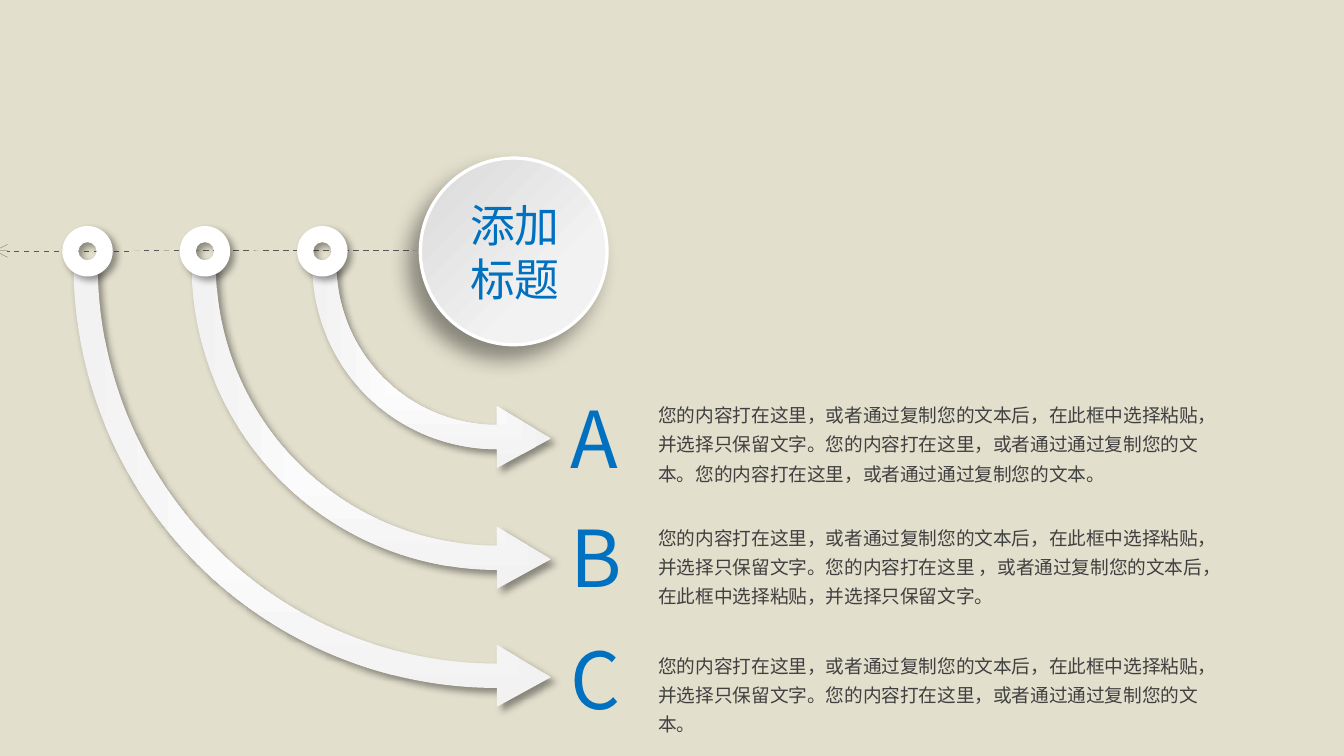
from math import cos, pi, sin, tan

from lxml.etree import SubElement
from pptx import Presentation
from pptx.dml.color import RGBColor
from pptx.enum.dml import MSO_LINE
from pptx.enum.shapes import MSO_CONNECTOR, MSO_SHAPE
from pptx.enum.text import MSO_ANCHOR, MSO_AUTO_SIZE
from pptx.oxml.ns import qn
from pptx.util import Pt

FONT = "Noto Sans CJK SC"
COLORS = {
    "background": "E3DFCD",
    "white": "FFFFFF",
    "pale": "F2F2F2",
    "silver": "D9D9D9",
    "axis": "595959",
    "accent": "0070C0",
    "body": "404040",
    "shadow": "000000",
}
OPENING = "您的内容打在这里，或者通过复制您的文本后，在此框中选择粘贴，并选择只保留文字。"
SHORT_COPY = "您的内容打在这里，或者通过通过复制您的文本。"
LONG_COPY = "您的内容打在这里 ，或者通过复制您的文本后，在此框中选择粘贴，并选择只保留文字。"
ITEMS = [
    ("A", 206, 210.2, OPENING + SHORT_COPY * 2),
    ("B", 269.8, 275.9, OPENING + LONG_COPY),
    ("C", 335.4, 344.5, OPENING + SHORT_COPY),
]
RING_CENTERS = [172.7, 109.8, 46.9]
RADII = [98.9, 163.6, 226.8]
ARC_CENTER = (266.2, 141.8)
AXIS_Y = 134.6


def color(name):
    return RGBColor.from_string(COLORS[name])


def add_shadow(shape, blur, distance, angle):
    effects = SubElement(shape._element.spPr, qn("a:effectLst"))
    shadow = SubElement(
        effects, qn("a:outerShdw"), blurRad=str(Pt(blur)), dist=str(Pt(distance)),
        dir=str(angle * 60000), algn="ctr", rotWithShape="0",
    )
    tone = SubElement(shadow, qn("a:srgbClr"), val=COLORS["shadow"])
    SubElement(tone, qn("a:alpha"), val="40000")


def fill_gradient(shape, stops, path, focus):
    shape.fill.gradient()
    for stop, (position, name) in zip(shape.fill.gradient_stops, stops):
        stop.position = position
        stop.color.rgb = color(name)
    gradient = shape._element.spPr.find(qn("a:gradFill"))
    gradient.remove(gradient.find(qn("a:lin")))
    path_element = SubElement(gradient, qn("a:path"), path=path)
    edges = {side: str(percent * 1000) for side, percent in zip("ltrb", focus)}
    SubElement(path_element, qn("a:fillToRect"), **edges)


def add_text(shapes, text, box, size, tone, wrap=True, anchor=MSO_ANCHOR.TOP,
             margins=(5.4, 2.7), spacing=None):
    frame = shapes.add_textbox(*map(Pt, box)).text_frame
    frame.word_wrap = wrap
    frame.auto_size = MSO_AUTO_SIZE.SHAPE_TO_FIT_TEXT
    frame.vertical_anchor = anchor
    frame.margin_left = frame.margin_right = Pt(margins[0])
    frame.margin_top = frame.margin_bottom = Pt(margins[1])
    frame.text = text
    for paragraph in frame.paragraphs:
        if spacing:
            paragraph.line_spacing = spacing
        for run in paragraph.runs:
            run.font.size = Pt(size)
            run.font.name = FONT
            run.font.color.rgb = color(tone)
            SubElement(run._r.get_or_add_rPr(), qn("a:ea"), typeface=FONT)


def arc_points(center, radius, pieces=2):
    step = pi / 2 / pieces
    handle = 4 / 3 * tan(step / 4)

    def place(angle, offset=0):
        return (center[0] + radius * (cos(angle) - offset * sin(angle)),
                center[1] + radius * (sin(angle) + offset * cos(angle)))

    points = [place(pi / 2)]
    for piece in range(pieces):
        start = pi / 2 + piece * step
        end = start + step
        points += [place(start, handle), place(end, -handle), place(end)]
    return points


def bend_segments(shape, first, count):
    lines = list(shape._element.iter(qn("a:lnTo")))
    for index in range(first, first + count, 3):
        curve_lines = lines[index:index + 3]
        outline = curve_lines[0].getparent()
        curve = outline.makeelement(qn("a:cubicBezTo"))
        outline.insert(outline.index(curve_lines[0]), curve)
        for line in curve_lines:
            curve.append(line[0])
            outline.remove(line)


def add_curved_arrow(slide, center, radius, thickness=13, head_length=29, head_half=16.6):
    x, y = center[0], center[1] + radius - thickness / 2
    head = [(x, y - head_half), (x + head_length, y + 0.7), (x, y + head_half)]
    outer = arc_points(center, radius)
    inner = arc_points(center, radius - thickness)[::-1]
    points = [(round(left * 100), round(top * 100)) for left, top in outer + inner + head]
    builder = slide.shapes.build_freeform(*points[0], scale=Pt(1) / 100)
    builder.add_line_segments(points[1:], close=True)
    arrow = builder.convert_to_shape()
    bend_segments(arrow, len(outer), len(inner) - 1)
    bend_segments(arrow, 0, len(outer) - 1)
    fill_gradient(arrow, [(0, "white"), (1, "pale")], "shape", (50, 50, 50, 50))
    arrow.line.fill.background()
    add_shadow(arrow, 4, 3, 45)


def add_item(slide, letter, letter_top, body_top, body):
    add_text(slide.shapes, letter, (300.2, letter_top, 40, 56), 42, "accent",
             wrap=False, anchor=MSO_ANCHOR.MIDDLE)
    add_text(slide.shapes, body, (347.3, body_top, 303.8, 52.6), 10, "body", spacing=1.3)


def add_axis(slide, start, end, y):
    axis = slide.shapes.add_connector(
        MSO_CONNECTOR.STRAIGHT, Pt(start), Pt(y - 0.6), Pt(end), Pt(y - 0.2))
    axis.line.color.rgb = color("axis")
    axis.line.width = Pt(0.01)
    axis.line.dash_style = MSO_LINE.DASH
    SubElement(axis.line._get_or_add_ln(), qn("a:tailEnd"), type="arrow")
    SubElement(axis._element.spPr, qn("a:effectLst"))


def add_ring(slide, x, y, diameter=27):
    ring = slide.shapes.add_shape(
        MSO_SHAPE.DONUT, Pt(x - diameter / 2), Pt(y - diameter / 2), Pt(diameter), Pt(diameter))
    ring.adjustments[0] = 0.32
    ring.fill.solid()
    ring.fill.fore_color.rgb = color("white")
    ring.line.fill.background()
    add_shadow(ring, 4, 3, 45)


def add_title(slide, left, top, diameter):
    group = slide.shapes.add_group_shape()
    circle = group.shapes.add_shape(
        MSO_SHAPE.OVAL, Pt(left), Pt(top), Pt(diameter), Pt(diameter))
    fill_gradient(circle, [(0.31, "pale"), (1, "silver")], "circle", (100, 100, 0, 0))
    circle.line.color.rgb = color("white")
    circle.line.width = Pt(1.75)
    add_shadow(circle, 11, 9, 130)
    add_text(group.shapes, "添加\n标题", (left + 19.6, top + 17.8, 63, 65.4), 24, "accent",
             wrap=False, margins=(7.2, 3.6))


def main():
    presentation = Presentation()
    presentation.slide_width = Pt(720)
    presentation.slide_height = Pt(405)
    slide = presentation.slides.add_slide(presentation.slide_layouts[6])
    slide.background.fill.solid()
    slide.background.fill.fore_color.rgb = color("background")
    for radius in RADII:
        add_curved_arrow(slide, ARC_CENTER, radius)
    for item in ITEMS:
        add_item(slide, *item)
    add_axis(slide, 229.7, -2.9, AXIS_Y)
    for x in RING_CENTERS:
        add_ring(slide, x, AXIS_Y)
    add_title(slide, 225.2, 84.7, 100)
    presentation.save("out.pptx")


if __name__ == "__main__":
    main()
